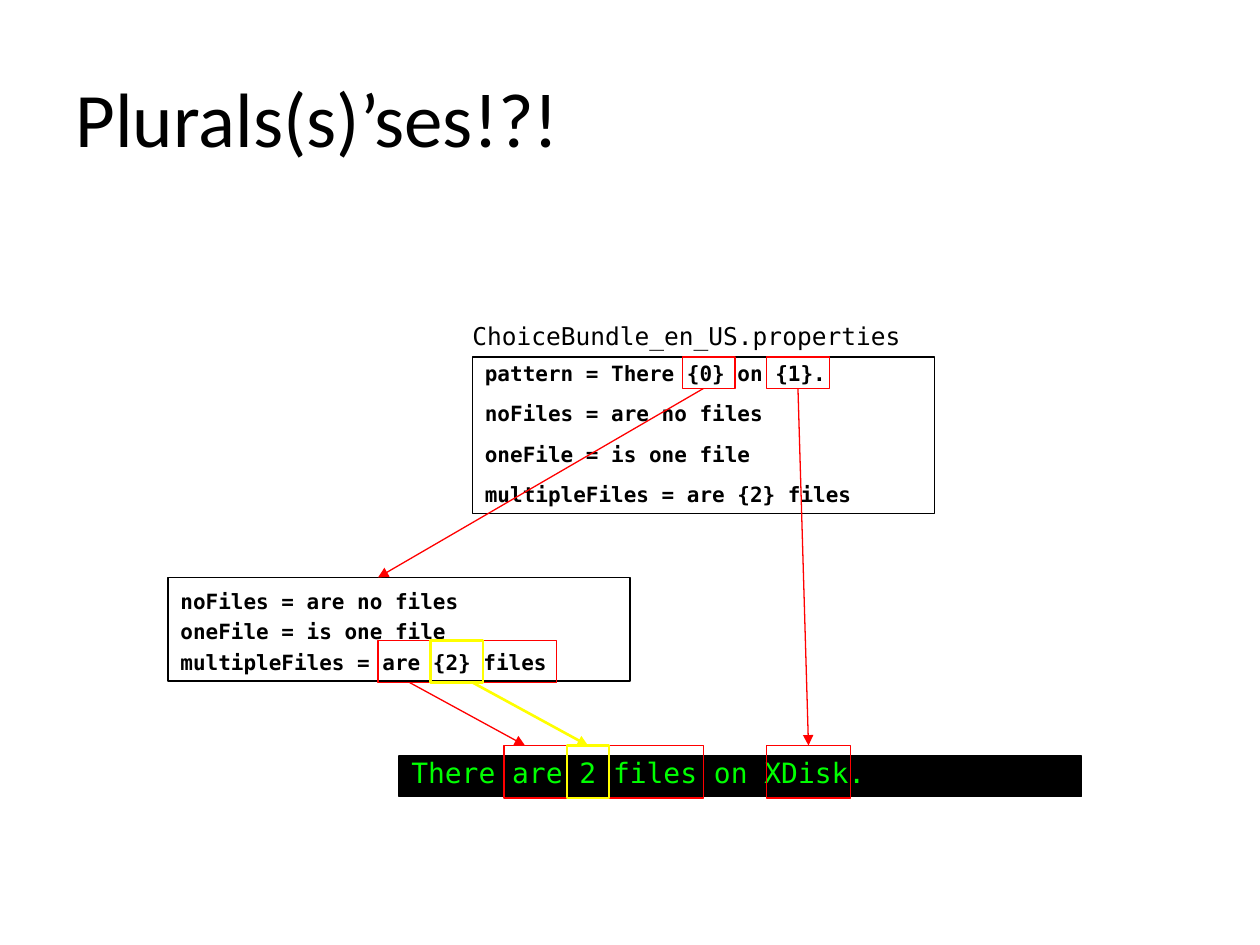
from lxml.etree import SubElement as Sub
from pptx import Presentation
from pptx.dml.color import RGBColor
from pptx.enum.shapes import MSO_CONNECTOR as Conn, MSO_SHAPE as Kind
from pptx.enum.text import MSO_ANCHOR as Anchor, PP_ALIGN as Align
from pptx.oxml.ns import qn
from pptx.util import Inches, Pt

BLACK = RGBColor(0, 0, 0)
WHITE = RGBColor(255, 255, 255)
RED = RGBColor(255, 0, 0)
YELLOW = RGBColor(255, 255, 0)
GREEN = RGBColor(0, 255, 0)
MONO = "DejaVu Sans Mono"
CELL = Inches(1) / 12

TITLE = "Plurals(s)’ses!?!"
LABEL = "ChoiceBundle_en_US.properties"
CHOICES = ["noFiles = are no files", "oneFile = is one file",
           "multipleFiles = are {2} files"]
PATTERN = "pattern = There {0} on {1}."
OUTPUT = "There are 2 files on XDisk."

BOXES = [
    ((45, 34, 44, 14.9), WHITE, [PATTERN] + CHOICES, [0.9, 1.6, 1.6, 1.6], 12, True, BLACK),
    ((16, 55, 44, 9.85), WHITE, CHOICES, [1.2] * 3, 12, True, BLACK),
    ((38, 72, 65, 3.85), BLACK, [OUTPUT], [0.8], 16, False, GREEN),
]
FRAMES = {
    "choice": ((65, 34, 5, 3), RED),
    "disk": ((73, 34, 6, 3), RED),
    "phrase": ((36, 61, 17, 4), RED),
    "files out": ((48, 71, 19, 5), RED),
    "disk out": ((73, 71, 8, 5), RED),
    "count out": ((54, 71, 4, 5), YELLOW),
    "count": ((41, 61, 5, 4), YELLOW),
}
ARROWS = [
    ((67, 37), (36, 55), RED, None, None),
    ((39, 65), (50, 71), RED, None, None),
    ((76, 37), (77, 71), RED, "disk", "disk out"),
    ((45, 65), (56, 71), YELLOW, None, "count out"),
]


def grid(spots):
    return [round(n * CELL) for n in spots]


def stroke(item, color):
    item.line.color.rgb = color
    item.line.width = Pt(1.5 if color == YELLOW else 0.75)


def rect(area, color, fill=None):
    box = slide.shapes.add_shape(Kind.RECTANGLE, *grid(area))
    box.shadow.inherit = False
    if fill is None:
        box.fill.background()
    else:
        box.fill.solid()
        box.fill.fore_color.rgb = fill
    stroke(box, color)
    return box


def write(frame, lines, gaps, size, bold=False, color=BLACK, font=MONO):
    for i, (line, gap) in enumerate(zip(lines, gaps)):
        para = frame.paragraphs[0] if i == 0 else frame.add_paragraph()
        para.alignment = Align.LEFT
        para.line_spacing = gap
        run = para.add_run()
        run.text = line
        run.font.name = font
        run.font.size = Pt(size)
        run.font.bold = bold
        run.font.color.rgb = color


deck = Presentation()
deck.slide_width, deck.slide_height = Inches(10), Inches(7.5)
slide = deck.slides.add_slide(deck.slide_layouts[5])

title = slide.shapes.title
title.left, title.top, title.width, title.height = grid((6, 3.6, 108, 15))
title.text_frame.vertical_anchor = Anchor.MIDDLE
write(title.text_frame, [TITLE], [1.0], 44, font="Calibri")

for area, fill, lines, gaps, size, bold, color in BOXES:
    box = rect(area, BLACK, fill)
    box.text_frame.word_wrap = True
    box.text_frame.vertical_anchor = Anchor.TOP
    write(box.text_frame, lines, gaps, size, bold, color)

label = slide.shapes.add_textbox(*grid((43.8, 30, 45, 4.1)))
label.text_frame.word_wrap = True
write(label.text_frame, [LABEL], [1.0], 14)

frames = {name: rect(area, color) for name, (area, color) in FRAMES.items()}

for start, end, color, source, target in ARROWS:
    arrow = slide.shapes.add_connector(Conn.STRAIGHT, *grid(start + end))
    stroke(arrow, color)
    Sub(arrow.line._get_or_add_ln(), qn("a:tailEnd"), type="triangle")
    Sub(arrow._element.spPr, qn("a:effectLst"))
    if source:
        arrow.begin_connect(frames[source], 2)
    if target:
        arrow.end_connect(frames[target], 0)

deck.save("out.pptx")
